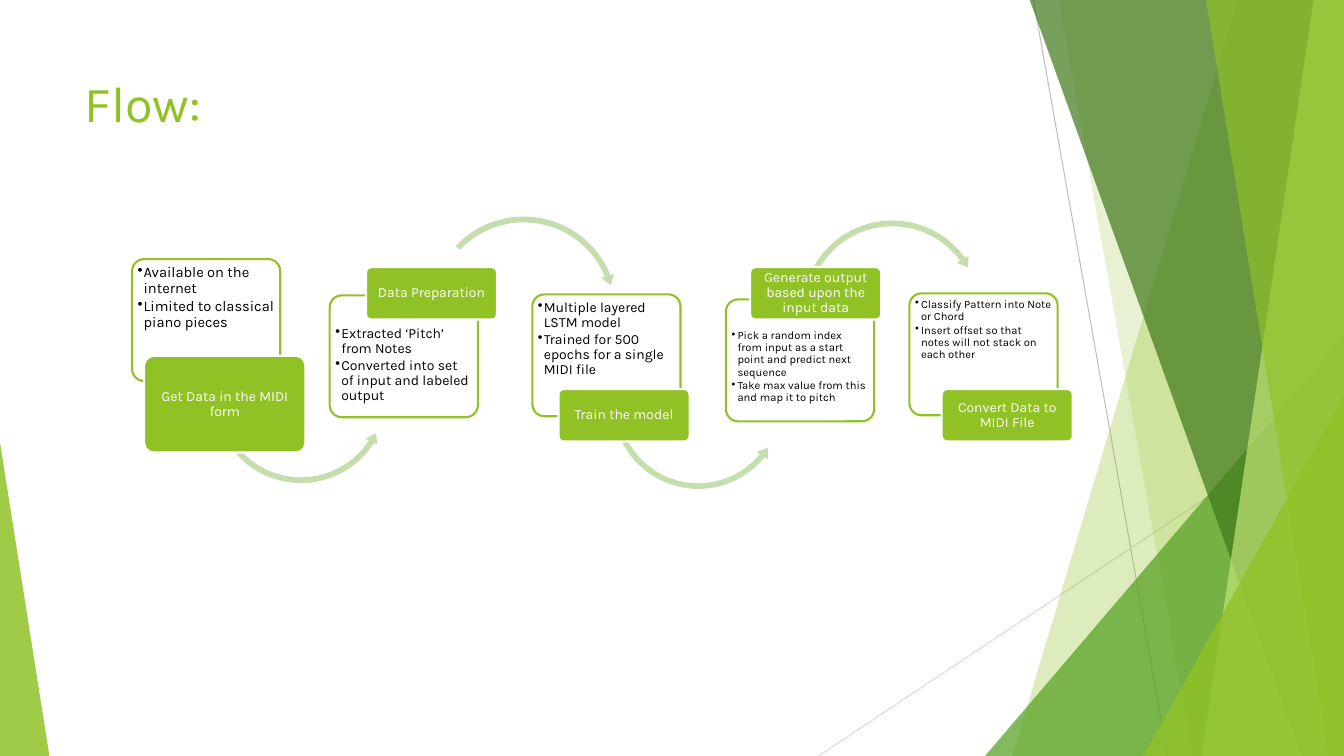
from lxml import etree
from pptx import Presentation
from pptx.dml.color import RGBColor
from pptx.enum.shapes import MSO_CONNECTOR, MSO_SHAPE as SHAPE
from pptx.enum.text import MSO_ANCHOR as ANCHOR, PP_ALIGN as ALIGN
from pptx.oxml.ns import qn
from pptx.util import Emu, Inches, Pt

COLORS = {
    "green": "90C226", "leaf": "54A021", "forest": "3F7819", "lime": "C0E474",
    "arrow": "C6DDAD", "white": "FFFFFF", "black": "000000",
    "gray": "BFBFBF", "light_gray": "D9D9D9",
}
FONT = "Karla"
WIDTH, HEIGHT = 13.33, 7.5
BOX_SIZE = (1.47, 1.21)
LABEL_SIZE = (1.3, 0.52)

STEPS = [
    {"box": (1.31, 2.57), "text_top": 0.02, "size": 10.5,
     "points": ["Available on the internet", "Limited to classical piano pieces"],
     "label": "Get Data in the MIDI form", "label_at": (1.43, 3.53), "label_size": (1.6, 0.96),
     "arrow": (SHAPE.LEFT_CIRCULAR_ARROW, 2.09, 3.04, 1.79, 0,
               (0.032, 3.943, 19.541, 88.088, 0.037))},
    {"box": (3.27, 2.93), "text_top": 0.27, "size": 10,
     "points": ["Extracted ‘Pitch’ from Notes",
                "Converted into set of input and labeled output"],
     "label": "Data Preparation", "label_at": (3.63, 2.65),
     "arrow": (SHAPE.CIRCULAR_ARROW, 4.23, 2.11, 1.93, 13.3,
               (0.03, 3.643, 194.812, 125.966, 0.035))},
    {"box": (5.28, 2.92), "text_top": 0.02, "size": 10,
     "points": ["Multiple layered LSTM model",
                "Trained for 500 epochs for a single MIDI file"],
     "label": "Train the model", "label_at": (5.54, 3.86),
     "arrow": (SHAPE.LEFT_CIRCULAR_ARROW, 6.04, 3.12, 1.77, 0,
               (0.032, 4.006, 23.38, 91.864, 0.038))},
    {"box": (7.2, 2.97), "text_top": 0.27, "size": 8,
     "points": ["Pick a random index from input as a start point and predict next sequence",
                "Take max value from this and map it to pitch"],
     "label": "Generate output based upon the input data", "label_at": (7.44, 2.65),
     "arrow": (SHAPE.CIRCULAR_ARROW, 7.92, 2.15, 1.86, 0,
               (0.031, 3.806, 194.439, 125.755, 0.036))},
    {"box": (9.02, 2.91), "text_top": 0.02, "size": 8,
     "points": ["Classify Pattern into Note or Chord",
                "Insert offset so that notes will not stack on each other"],
     "label": "Convert Data to MIDI File", "label_at": (9.34, 3.86)},
]


def rgb(name):
    return RGBColor.from_string(COLORS[name])


def style(shape, fill, opacity=100, line=None):
    shape.shadow.inherit = False
    shape.fill.solid()
    shape.fill.fore_color.rgb = rgb(fill)
    if opacity < 100:
        color = shape.fill._xPr.find(qn("a:solidFill"))[0]
        etree.SubElement(color, qn("a:alpha"), val=str(opacity * 1000))
    if line:
        shape.line.color.rgb = rgb(line)
        shape.line.width = Pt(1.5)
    else:
        shape.line.fill.background()


def add_bullet(paragraph):
    properties = paragraph._p.get_or_add_pPr()
    properties.set("marL", str(Inches(0.06)))
    properties.set("indent", str(-Inches(0.06)))
    etree.SubElement(properties, qn("a:buChar"), char="•")


def write_text(shape, lines, *, size, color, align=ALIGN.LEFT, anchor=ANCHOR.TOP,
               margins=(0.02, 0.02, 0.02, 0.02), spacing=0.9, bullets=False):
    frame = shape.text_frame
    frame.word_wrap = True
    frame.vertical_anchor = anchor
    frame.margin_left, frame.margin_top, frame.margin_right, frame.margin_bottom = map(
        Inches, margins)
    for index, line in enumerate(lines):
        paragraph = frame.add_paragraph() if index else frame.paragraphs[0]
        paragraph.alignment = align
        paragraph.line_spacing = spacing
        run = paragraph.add_run()
        run.text = line
        run.font.name = FONT
        run.font.size = Pt(size)
        run.font.color.rgb = rgb(color)
        if bullets:
            paragraph.space_after = Pt(size * 0.15)
            add_bullet(paragraph)


def add_preset(slide, kind, position, size, adjustments, **look):
    shape = slide.shapes.add_shape(kind, *map(Inches, (*position, *size)))
    for index, value in enumerate(adjustments):
        shape.adjustments[index] = value
    style(shape, **look)
    return shape


def add_line(slide, start, end, color):
    line = slide.shapes.add_connector(MSO_CONNECTOR.STRAIGHT, *map(Inches, (*start, *end)))
    line.line.color.rgb = rgb(color)
    line.line.width = Pt(0.75)
    etree.SubElement(line._element.spPr, qn("a:effectLst"))


def add_panel(slide, top_x, bottom_x, fill, opacity):
    builder = slide.shapes.build_freeform(
        Inches(top_x), Inches(-0.01), scale=1.0)
    corners = [(WIDTH, -0.01), (WIDTH, HEIGHT), (bottom_x, HEIGHT)]
    builder.add_line_segments([(Inches(x), Inches(y)) for x, y in corners], close=True)
    style(builder.convert_to_shape(Emu(0), Emu(0)), fill, opacity)


def add_corner(slide, left, width, height, apex, fill, opacity):
    add_preset(slide, SHAPE.ISOSCELES_TRIANGLE, (left, HEIGHT - height), (width, height),
               [apex], fill=fill, opacity=opacity)


def add_backdrop(slide):
    add_line(slide, (10.25, 0), (11.58, HEIGHT), "gray")
    add_line(slide, (WIDTH, 4.03), (8.12, HEIGHT), "light_gray")
    add_panel(slide, 12.28, 10.04, "green", 30)
    add_panel(slide, 10.5, 11.83, "green", 20)
    add_corner(slide, 9.77, 3.56, 4.17, 1, "leaf", 72)
    add_panel(slide, 10.21, 12.91, "forest", 70)
    add_panel(slide, 13.03, 11.92, "lime", 70)
    add_panel(slide, 11.96, 13.18, "green", 65)
    add_corner(slide, 11.34, 1.99, 3.57, 1, "green", 80)
    add_corner(slide, 0, 0.49, 3.11, 0, "green", 85)


def add_arrow(slide, kind, left, top, size, rotation, adjustments):
    arrow = add_preset(slide, kind, (left, top), (size, size), adjustments, fill="arrow")
    arrow.rotation = rotation


def add_step(slide, step):
    box = add_preset(slide, SHAPE.ROUNDED_RECTANGLE, step["box"], BOX_SIZE, [0.1],
                     fill="white", opacity=90, line="green")
    write_text(box, step["points"], size=step["size"], color="black", bullets=True,
               margins=(0.02, step["text_top"], 0.02, 0.02))
    if "arrow" in step:
        add_arrow(slide, *step["arrow"])
    label = add_preset(slide, SHAPE.ROUNDED_RECTANGLE, step["label_at"],
                       step.get("label_size", LABEL_SIZE), [0.1], fill="green", line="white")
    write_text(label, [step["label"]], size=10, color="white", align=ALIGN.CENTER,
               anchor=ANCHOR.MIDDLE, margins=(0.02, 0.01, 0.02, 0.01))


def add_title(slide, text):
    title = slide.shapes.title
    title.left, title.top, title.width, title.height = map(Inches, (0.74, 0.67, 9.4, 1.44))
    write_text(title, [text], size=36, color="green", margins=(0.1, 0.05, 0.1, 0.05),
               spacing=1.0)


def main():
    presentation = Presentation()
    presentation.slide_width = Inches(WIDTH)
    presentation.slide_height = Inches(HEIGHT)
    slide = presentation.slides.add_slide(presentation.slide_layouts[5])
    add_backdrop(slide)
    add_title(slide, "Flow:")
    for step in STEPS:
        add_step(slide, step)
    presentation.save("out.pptx")


if __name__ == "__main__":
    main()
